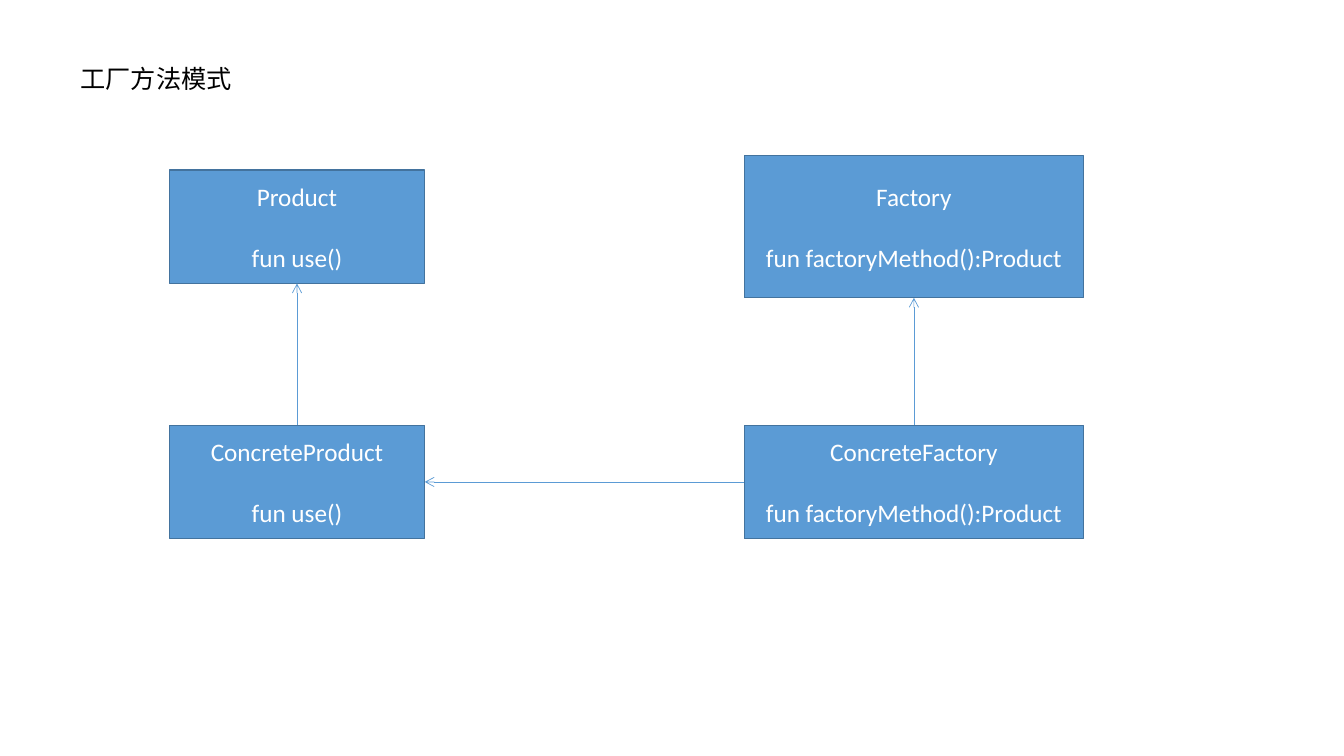
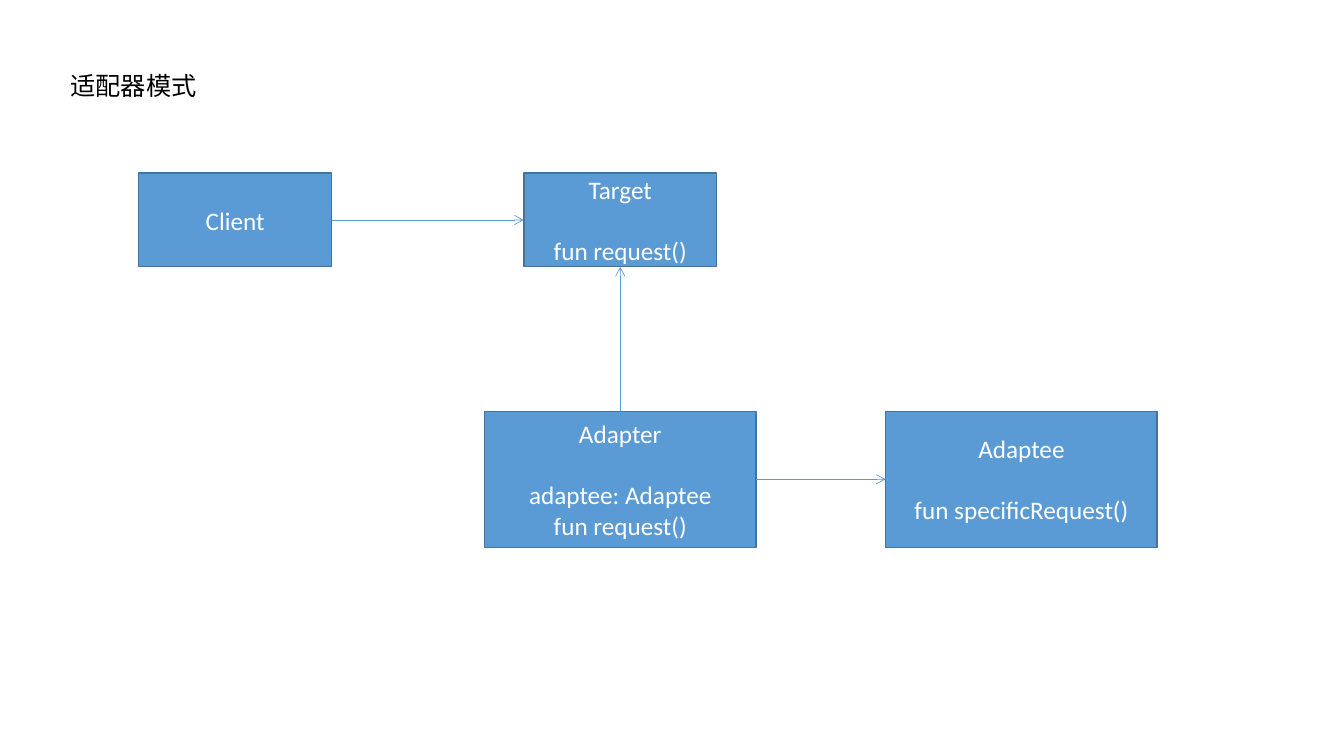
from dataclasses import dataclass

from lxml.etree import SubElement
from pptx import Presentation
from pptx.dml.color import RGBColor as RGB
from pptx.enum.shapes import MSO_CONNECTOR as Connector, MSO_SHAPE as Shape
from pptx.enum.text import MSO_ANCHOR as Anchor, MSO_AUTO_SIZE as AutoSize, PP_ALIGN as Align
from pptx.oxml.ns import qn
from pptx.util import Inches, Pt

W, H = Inches(13.33), Inches(7.5)
TOP, LEFT, BOTTOM, RIGHT = range(4)


@dataclass(frozen=True)
class Theme:
    font: str = "Calibri"
    size: Pt = Pt(18)
    member_gap: Pt = Pt(22)
    ink: RGB = RGB(0x00, 0x00, 0x00)
    box_ink: RGB = RGB(0xFF, 0xFF, 0xFF)
    box_fill: RGB = RGB(0x5B, 0x9B, 0xD5)
    box_line: RGB = RGB(0x43, 0x73, 0x9E)
    box_line_width: Pt = Pt(1)
    arrow: RGB = RGB(0x5B, 0x9B, 0xD5)
    arrow_width: Pt = Pt(0.5)


T = Theme()


def x(share):
    return round(W * share / 100)


def y(share):
    return round(H * share / 100)


def add_run(p, text, color):
    r = p.add_run()
    r.text = text
    r.font.name, r.font.size = T.font, T.size
    r.font.color.rgb = color


def add_title(s, text, left, top):
    width = Inches(0.2) + Inches(0.25) * len(text)
    tf = s.shapes.add_textbox(x(left), y(top), width, Inches(0.4)).text_frame
    tf.word_wrap = False
    tf.auto_size = AutoSize.SHAPE_TO_FIT_TEXT
    add_run(tf.paragraphs[0], text, T.ink)


def add_class(s, col, row, size, name, *members):
    w, h = x(size[0]), y(size[1])
    sp = s.shapes.add_shape(Shape.RECTANGLE, x(col) - w // 2, y(row) - h // 2, w, h)
    sp.shadow.inherit = False
    sp.fill.solid()
    sp.fill.fore_color.rgb = T.box_fill
    sp.line.color.rgb, sp.line.width = T.box_line, T.box_line_width
    tf = sp.text_frame
    tf.word_wrap = True
    tf.vertical_anchor = Anchor.MIDDLE
    for i, text in enumerate((name, *members)):
        p = tf.add_paragraph() if i else tf.paragraphs[0]
        p.alignment = Align.CENTER
        if i == 1:
            p.space_before = T.member_gap
        add_run(p, text, T.box_ink)
    return sp


def add_arrow(s, start, start_side, end, end_side):
    c = s.shapes.add_connector(Connector.STRAIGHT, 0, 0, 0, 0)
    c.begin_connect(start, start_side)
    c.end_connect(end, end_side)
    c.line.color.rgb, c.line.width = T.arrow, T.arrow_width
    SubElement(c.line._get_or_add_ln(), qn("a:tailEnd"), type="arrow")
    SubElement(c._element.spPr, qn("a:effectLst"))


def add_factory_slide(s):
    add_title(s, "工厂方法模式", 5.25, 7.75)
    left, right = 22.1, 68
    upper, lower = 30, 63.75
    narrow, wide, tall = (19, 15), (25.25, 15), (25.25, 18.8)
    use, make = "fun use()", "fun factoryMethod():Product"
    product = add_class(s, left, upper, narrow, "Product", use)
    concrete_product = add_class(s, left, lower, narrow, "ConcreteProduct", use)
    factory = add_class(s, right, upper, tall, "Factory", make)
    concrete_factory = add_class(s, right, lower, wide, "ConcreteFactory", make)
    add_arrow(s, concrete_product, TOP, product, BOTTOM)
    add_arrow(s, concrete_factory, TOP, factory, BOTTOM)
    add_arrow(s, concrete_factory, LEFT, concrete_product, RIGHT)


def add_adapter_slide(s):
    add_title(s, "适配器模式", 4.5, 8.65)
    left, middle, right = 17.5, 46.15, 76
    upper, lower = 29.1, 63.4
    small, large = (14.35, 12.4), (20.2, 18)
    request = "fun request()"
    client = add_class(s, left, upper, small, "Client")
    target = add_class(s, middle, upper, small, "Target", request)
    adapter = add_class(s, middle, lower, large, "Adapter", "adaptee: Adaptee", request)
    adaptee = add_class(s, right, lower, large, "Adaptee", "fun specificRequest()")
    add_arrow(s, client, RIGHT, target, LEFT)
    add_arrow(s, adapter, TOP, target, BOTTOM)
    add_arrow(s, adapter, RIGHT, adaptee, LEFT)


def main():
    prs = Presentation()
    prs.slide_width, prs.slide_height = W, H
    for fill_slide in (add_factory_slide, add_adapter_slide):
        fill_slide(prs.slides.add_slide(prs.slide_layouts[6]))
    prs.save("out.pptx")


if __name__ == "__main__":
    main()
